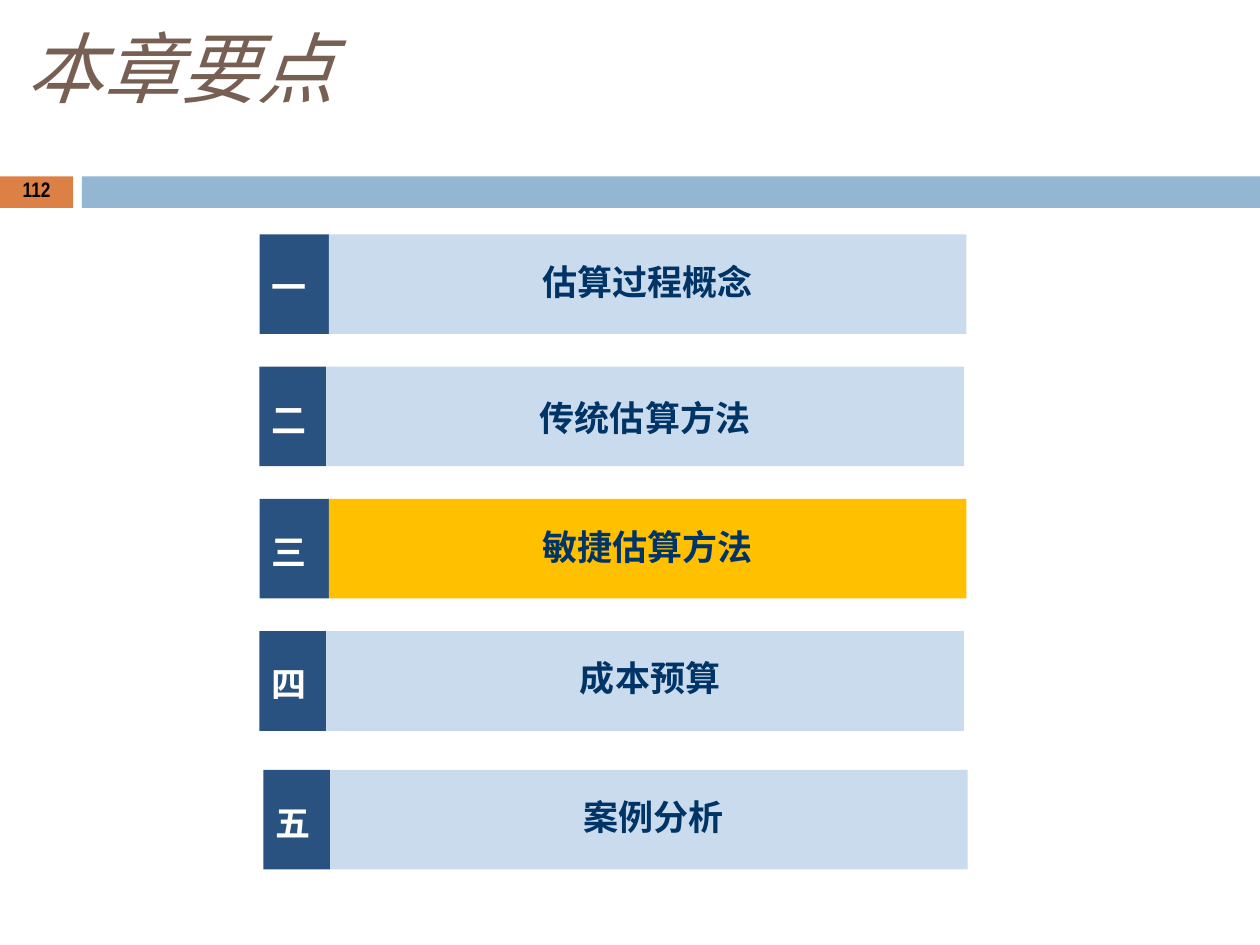
from lxml import etree
from pptx import Presentation
from pptx.dml.color import RGBColor
from pptx.enum.shapes import MSO_SHAPE
from pptx.enum.text import MSO_ANCHOR, PP_ALIGN
from pptx.oxml.ns import qn
from pptx.util import Inches, Pt

RECT = MSO_SHAPE.RECTANGLE
TOP = MSO_ANCHOR.TOP
LEFT, CENTER = PP_ALIGN.LEFT, PP_ALIGN.CENTER
CJK, NARROW = "Noto Sans CJK SC", "Arial Narrow"

# Content
TITLE = "本章要点"
PAGE_NUMBER = "112"
NAVY, PALE, AMBER, INK = "2A5280", "C9DBED", "FFC000", "003366"
# numeral, topic, fill, left, top, numeral width, topic insets (left, top)
CHAPTERS = [
    ("一", "估算过程概念", PALE, 2.06, 1.86, 0.55, (0, 0.21)),
    ("二", "传统估算方法", PALE, 2.06, 2.91, 0.53, (0, 0.24)),
    ("三", "敏捷估算方法", AMBER, 2.06, 3.96, 0.55, (0, 0.21)),
    ("四", "成本预算", PALE, 2.06, 5.01, 0.53, (0.08, 0.2)),
    ("五", "案例分析", PALE, 2.09, 6.11, 0.53, (0.08, 0.2)),
]
ROW_HEIGHT, TOPIC_WIDTH = 0.79, 5.06
NUMERAL_INSETS = (0.1, 0.25)


def color(hex_value):
    return RGBColor.from_string(hex_value)


def write(shape, text, size, font, ink, insets, align=LEFT, bold=False, italic=False):
    frame = shape.text_frame
    frame.text = text
    frame.word_wrap = False
    frame.vertical_anchor = TOP
    frame.margin_left, frame.margin_top = (Inches(v) for v in insets)
    frame.margin_right = frame.margin_bottom = 0
    paragraph = frame.paragraphs[0]
    paragraph.alignment = align
    run = paragraph.runs[0]
    run.font.size = Pt(size)
    run.font.bold, run.font.italic = bold, italic
    run.font.color.rgb = color(ink)
    run.font.name = font
    # Chinese glyphs use the East Asian typeface
    etree.SubElement(run.font._element, qn("a:ea")).set("typeface", font)


def add_bar(slide, left, top, width, height, fill):
    bar = slide.shapes.add_shape(
        RECT, Inches(left), Inches(top), Inches(width), Inches(height))
    bar.shadow.inherit = False
    bar.fill.solid()
    bar.fill.fore_color.rgb = color(fill)
    bar.line.fill.background()
    return bar


def main():
    prs = Presentation()
    prs.slide_width, prs.slide_height = Inches(10), Inches(7.5)
    slide = prs.slides.add_slide(prs.slide_layouts[5])

    # Header band
    add_bar(slide, 0, 1.4, 0.58, 0.25, "DD8046")
    add_bar(slide, 0.65, 1.4, 9.35, 0.25, "93B6D2")

    # Title and page number
    title = slide.shapes.title
    title.left, title.top = Inches(0.2), Inches(0.15)
    title.width, title.height = Inches(2.48), Inches(0.76)
    write(title, TITLE, 44, CJK, "775F54", (0.01, 0.01), italic=True)
    page = slide.shapes.add_textbox(
        Inches(0.17), Inches(1.39), Inches(0.25), Inches(0.23))
    write(page, PAGE_NUMBER, 12, NARROW, "000000", (0.01, 0.01), bold=True)

    # Chapter rows
    for numeral, topic, fill, left, top, width, insets in CHAPTERS:
        numeral_box = add_bar(slide, left, top, width, ROW_HEIGHT, NAVY)
        write(numeral_box, numeral, 20, CJK, "FFFFFF", NUMERAL_INSETS, bold=True)
        topic_box = add_bar(slide, left + width, top, TOPIC_WIDTH, ROW_HEIGHT, fill)
        write(topic_box, topic, 20, CJK, INK, insets, CENTER, bold=True)

    prs.save("out.pptx")


if __name__ == "__main__":
    main()
